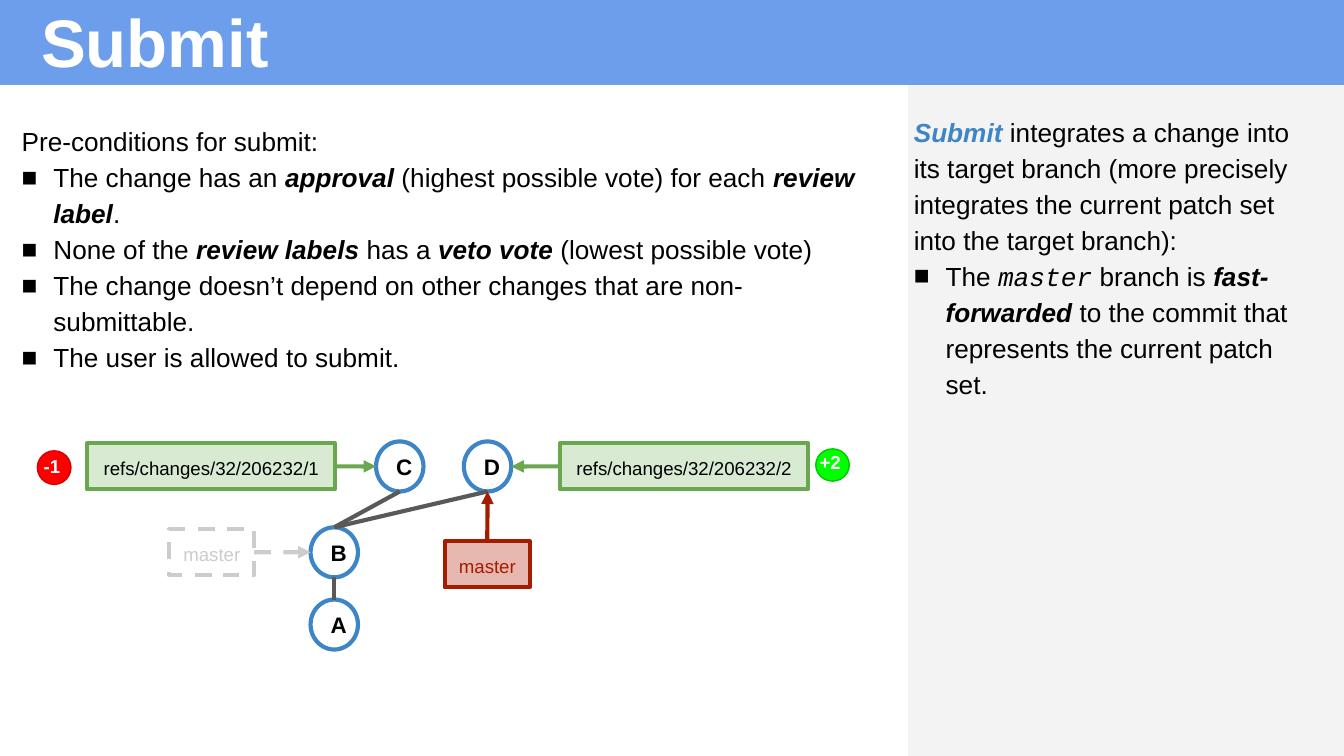
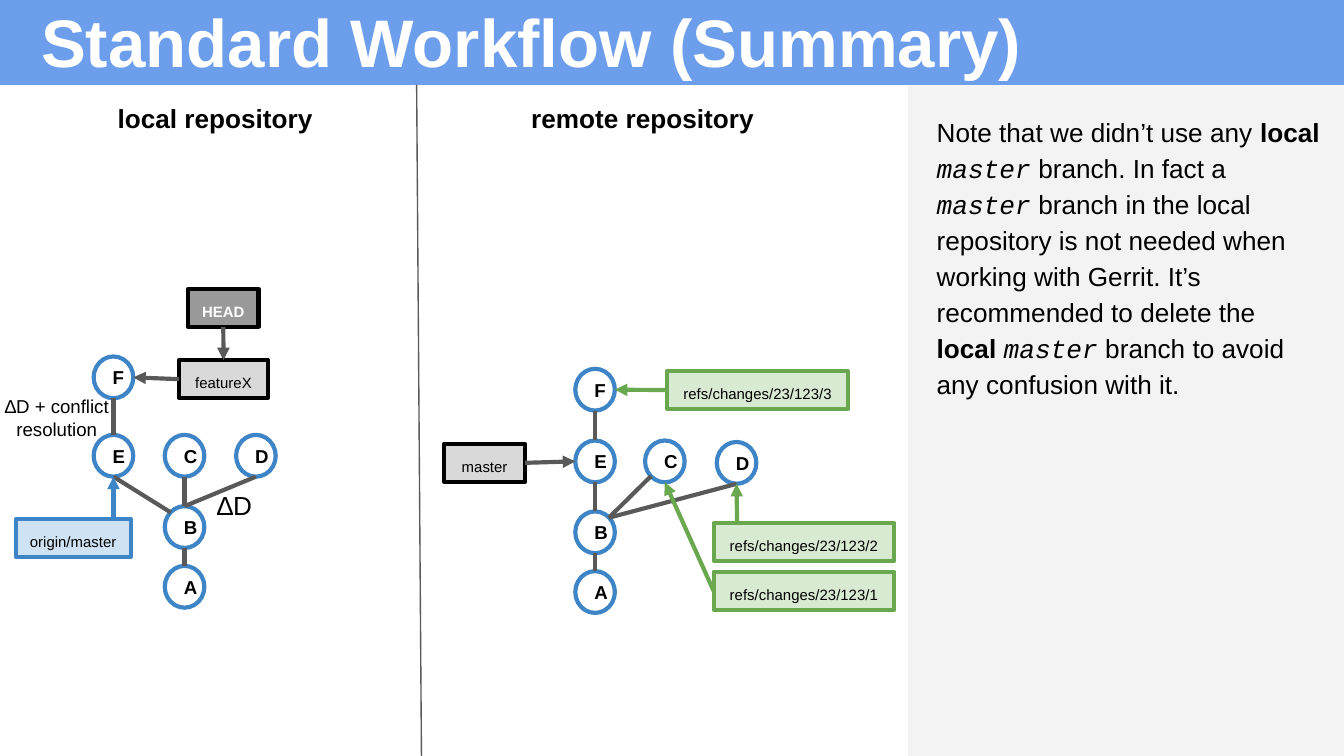
from dataclasses import dataclass
from typing import NamedTuple, Optional, Union

from lxml import etree
from pptx import Presentation
from pptx.dml.color import RGBColor
from pptx.enum import dml, shapes, text
from pptx.oxml import ns
from pptx.util import Pt


@dataclass(frozen=True)
class Theme:
    """Colours, fonts and type sizes used on every slide."""
    black: str = "000000"
    white: str = "FFFFFF"
    banner: str = "6D9EEB"
    panel: str = "F3F3F3"
    blue: str = "3D85C6"
    pale_blue: str = "CFE2F3"
    edge: str = "595959"
    green: str = "6AA84F"
    pale_green: str = "D9EAD3"
    red: str = "A61C00"
    pale_red: str = "E6B8AF"
    faded: str = "CCCCCC"
    gray: str = "D9D9D9"
    dark_gray: str = "999999"
    sans: str = "Arial"
    mono: str = "Courier New"
    title: float = 36
    body: float = 14
    big_node: float = 12
    small: float = 10
    tiny: float = 8
    inset: float = 7.2
    spacing: float = 1.15
    hanging: float = 17
    stroke: float = 2.25
    hairline: float = 0.75


T = Theme()


class Run(NamedTuple):
    """A stretch of text with its own format."""
    text: str
    bold: bool = False
    italic: bool = False
    font: str = T.sans
    color: Optional[str] = None


class Para(NamedTuple):
    """A paragraph of strings and runs."""
    runs: tuple[Union[str, Run], ...]
    bullet: bool = False


class Box(NamedTuple):
    """Left, top, width and height in points."""
    left: float
    top: float
    width: float
    height: float


class Style(NamedTuple):
    """Fill, outline and text format of a ref label."""
    fill: Optional[str]
    line: str
    color: str = T.black
    bold: bool = False
    dashed: bool = False


class Node(NamedTuple):
    """A commit circle."""
    name: str
    left: float
    top: float


class Label(NamedTuple):
    """A ref label."""
    key: str
    text: str
    box: Box
    style: Style


class Link(NamedTuple):
    """A line from one side of a shape to a side of another."""
    start: str
    start_side: str
    end: str
    end_side: str
    color: str = T.edge
    arrow: bool = False
    dashed: bool = False


CHANGE = Style(T.pale_green, T.green)
BRANCH = Style(T.gray, T.black)
ORIGIN = Style(T.pale_blue, T.blue)
HEAD = Style(T.dark_gray, T.black, T.white, bold=True)
MOVED = Style(T.pale_red, T.red, T.red)
STALE = Style(None, T.faded, T.faded, dashed=True)

SIDES = {"n": (0.5, 0), "w": (0, 0.5), "s": (0.5, 1), "e": (1, 0.5),
         "nw": (0.15, 0.15), "ne": (0.85, 0.15), "sw": (0.15, 0.85),
         "top-left": (0.13, 0), "top-right": (0.85, 0)}
GLUE = {"n": 0, "w": 1, "s": 2, "e": 3}


def rgb(color: str) -> RGBColor:
    """Turn a hex string into a colour."""
    return RGBColor.from_string(color)


def bold_italic(words: str) -> Run:
    """Return an emphasised run."""
    return Run(words, bold=True, italic=True)


def write(sp, content, *, size, color=T.black, bold=False, align=text.PP_ALIGN.LEFT,
          anchor=text.MSO_ANCHOR.TOP, spacing=None) -> None:
    """Write a string or a list of paragraphs into a shape."""
    tf = sp.text_frame
    tf.word_wrap = True
    tf.vertical_anchor = anchor
    tf.margin_left = tf.margin_right = tf.margin_top = tf.margin_bottom = Pt(T.inset)
    paras = [Para((Run(content, bold),))] if isinstance(content, str) else content
    for i, para in enumerate(paras):
        p = tf.add_paragraph() if i else tf.paragraphs[0]
        p.alignment = align
        if spacing:
            p.line_spacing = spacing
        if para.bullet:
            pPr = p._p.get_or_add_pPr()
            pPr.set("marL", str(Pt(T.hanging)))
            pPr.set("indent", str(-Pt(T.hanging)))
            etree.SubElement(pPr, ns.qn("a:buFont")).set("typeface", T.sans)
            etree.SubElement(pPr, ns.qn("a:buChar")).set("char", "■")
        for part in para.runs:
            run = Run(part) if isinstance(part, str) else part
            r = p.add_run()
            r.text = run.text
            r.font.name, r.font.size = run.font, Pt(size)
            r.font.bold, r.font.italic = run.bold, run.italic
            r.font.color.rgb = rgb(run.color or color)


def add_text(slide, box: Box, content, **fmt) -> None:
    """Add a text box."""
    write(slide.shapes.add_textbox(*map(Pt, box)), content, **fmt)


def add_shape(slide, kind, box: Box, fill=None, line=None, width=T.stroke, dashed=False):
    """Add a flat preset shape."""
    sp = slide.shapes.add_shape(kind, *map(Pt, box))
    sp.shadow.inherit = False
    if fill:
        sp.fill.solid()
        sp.fill.fore_color.rgb = rgb(fill)
    else:
        sp.fill.background()
    if line:
        sp.line.color.rgb = rgb(line)
        sp.line.width = Pt(width)
        if dashed:
            sp.line.dash_style = dml.MSO_LINE.DASH
    else:
        sp.line.fill.background()
    return sp


def add_line(slide, start, end, color=T.edge, width=T.stroke, arrow=False, dashed=False):
    """Add a straight line between two points."""
    line = slide.shapes.add_connector(shapes.MSO_CONNECTOR.STRAIGHT, *start, *end)
    line.line.color.rgb = rgb(color)
    line.line.width = Pt(width)
    if dashed:
        line.line.dash_style = dml.MSO_LINE.DASH
    if arrow:
        etree.SubElement(line.line._get_or_add_ln(), ns.qn("a:tailEnd")).set("type", "triangle")
    etree.SubElement(line._element.spPr, ns.qn("a:effectLst"))
    return line


def side_point(sp, side: str) -> tuple[int, int]:
    """Find the point on a shape's outline."""
    fx, fy = SIDES[side]
    return int(sp.left + fx * sp.width), int(sp.top + fy * sp.height)


def draw_graph(slide, nodes, node_size, node_font, labels, label_font, links) -> None:
    """Draw commits, ref labels and the links between them."""
    drawn = {}
    for node in nodes:
        sp = add_shape(slide, shapes.MSO_SHAPE.OVAL,
                       Box(node.left, node.top, *node_size), line=T.blue)
        write(sp, node.name, size=node_font, bold=True,
              align=text.PP_ALIGN.CENTER, anchor=text.MSO_ANCHOR.MIDDLE)
        drawn[node.name] = sp
    for label in labels:
        style = label.style
        sp = add_shape(slide, shapes.MSO_SHAPE.RECTANGLE, label.box,
                       style.fill, style.line, dashed=style.dashed)
        write(sp, label.text, size=label_font, color=style.color, bold=style.bold,
              align=text.PP_ALIGN.CENTER)
        drawn[label.key] = sp
    rects = {label.key for label in labels}
    for link in links:
        a, b = drawn[link.start], drawn[link.end]
        line = add_line(slide, side_point(a, link.start_side), side_point(b, link.end_side),
                        link.color, arrow=link.arrow, dashed=link.dashed)
        if link.start in rects and link.start_side in GLUE:
            line.begin_connect(a, GLUE[link.start_side])
        if link.end in rects and link.end_side in GLUE:
            line.end_connect(b, GLUE[link.end_side])


def add_frame(prs, title: str, title_width: float, note: list[Para], note_left: float,
              note_height: float):
    """Add a slide with its banner, title and side note."""
    slide = prs.slides.add_slide(prs.slide_layouts[6])
    rect = shapes.MSO_SHAPE.RECTANGLE
    add_shape(slide, rect, Box(0, 0, 720.5, 45.5), T.banner)
    add_text(slide, Box(15, -7, title_width, 60), title, size=T.title, color=T.white, bold=True)
    add_shape(slide, rect, Box(486.5, 45.75, 233.5, 359.25), T.panel)
    add_text(slide, Box(note_left, 52.5, 715.5 - note_left, note_height), note,
             size=T.body, spacing=T.spacing)
    return slide


def build_submit(prs) -> None:
    """Build the slide on submitting a change."""
    slide = add_frame(prs, "Submit", 595, [
        Para((Run("Submit", True, True, color=T.blue), " integrates a change into its target "
              "branch (more precisely integrates the current patch set into the target branch):")),
        Para(("The ", Run("master", italic=True, font=T.mono), " branch is ",
              bold_italic("fast-forwarded"),
              " to the commit that represents the current patch set."), True),
    ], 482.5, 307.5)
    add_text(slide, Box(4.5, 57.5, 470, 174), [
        Para(("Pre-conditions for submit:",)),
        Para(("The change has an ", bold_italic("approval"),
              " (highest possible vote) for each ", bold_italic("review label"), "."), True),
        Para(("None of the ", bold_italic("review labels"), " has a ",
              bold_italic("veto vote "), "(lowest possible vote)"), True),
        Para(("The change doesn’t depend on other changes that are non-submittable.",), True),
        Para(("The user is allowed to submit.",), True),
    ], size=T.body, spacing=T.spacing)
    nodes = [Node("A", 166.4, 321.2), Node("B", 166.4, 282.5),
             Node("C", 201.5, 236.5), Node("D", 248.5, 236.5)]
    labels = [Label("first", "refs/changes/32/206232/1", Box(46.7, 237.5, 132.8, 24.7), CHANGE),
              Label("second", "refs/changes/32/206232/2", Box(300, 237.5, 132.8, 24.7), CHANGE),
              Label("old", "master", Box(90.7, 283.5, 45.5, 24.7), STALE),
              Label("new", "master", Box(238.3, 290, 45.5, 24.7), MOVED)]
    links = [Link("A", "n", "B", "s"), Link("B", "n", "C", "s"), Link("B", "n", "D", "s"),
             Link("first", "e", "C", "w", T.green, True),
             Link("second", "w", "D", "e", T.green, True),
             Link("old", "e", "B", "w", T.faded, True, True),
             Link("new", "n", "D", "s", T.red, True)]
    draw_graph(slide, nodes, (25.4, 26.8), T.big_node, labels, T.small, links)
    votes = [("+2", Box(437, 240.5, 18, 17.3), "00FF00", "00C700", Box(432, 235.5, 36, 24)),
             ("-1", Box(20, 241.5, 18, 18), "FF0000", "D50000", Box(16.3, 237.5, 29, 20))]
    for vote, disc, fill, line, box in votes:
        add_shape(slide, shapes.MSO_SHAPE.OVAL, disc, fill, line, T.hairline)
        add_text(slide, box, vote, size=T.small, color=T.white, bold=True)


def build_summary(prs) -> None:
    """Build the slide that sums up the workflow."""
    master = Run("master", italic=True, font=T.mono)
    local = Run("local ", bold=True)
    slide = add_frame(prs, "Standard Workflow (Summary)", 644, [
        Para(("Note that we didn’t use any ", local, master, " branch. In fact a ", master,
              " branch in the local repository is not needed when working with Gerrit. "
              "It’s recommended to delete the ", local, master,
              " branch to avoid any confusion with it.")),
    ], 494.7, 345)
    add_line(slide, (Pt(223.2), Pt(45.5)), (Pt(225.8), Pt(405)), width=T.hairline)
    for heading, left in (("local repository", 41), ("remote repository", 270)):
        add_text(slide, Box(left, 47.5, 148.5, 36), heading, size=T.body, bold=True,
                 align=text.PP_ALIGN.CENTER)
    add_text(slide, Box(-17.5, 204.5, 95.8, 36), "∆D + conflict resolution", size=T.small,
             align=text.PP_ALIGN.CENTER)
    add_text(slide, Box(109.3, 255, 39, 27), "∆D", size=T.body)

    node_size = (21.2, 22.4)
    nodes = [Node("A", 88.3, 303.2), Node("B", 88.3, 271.2), Node("C", 88.3, 233),
             Node("D", 126.5, 233), Node("E", 50.2, 233), Node("F", 50.2, 191)]
    labels = [Label("origin", "origin/master", Box(8.5, 278, 61.5, 20.3), ORIGIN),
              Label("feature", "featureX", Box(96, 193, 47.5, 20.3), BRANCH),
              Label("head", "HEAD", Box(100.8, 154.8, 37.7, 20.3), HEAD)]
    links = [Link("A", "n", "B", "s"), Link("C", "s", "B", "n"), Link("D", "s", "B", "n"),
             Link("E", "s", "B", "nw"), Link("F", "s", "E", "n"),
             Link("origin", "top-right", "E", "s", T.blue, True),
             Link("feature", "w", "F", "e", arrow=True),
             Link("head", "s", "feature", "n", arrow=True)]
    draw_graph(slide, nodes, node_size, T.small, labels, T.tiny, links)

    nodes = [Node("A", 308.2, 306), Node("B", 308.2, 274), Node("C", 345.6, 236),
             Node("D", 384, 236.8), Node("E", 308.2, 236), Node("F", 308.2, 197.6)]
    labels = [Label("first", "refs/changes/23/123/1", Box(382.3, 306.4, 96.8, 20.3), CHANGE),
              Label("second", "refs/changes/23/123/2", Box(382.3, 280.2, 96.8, 20.3), CHANGE),
              Label("third", "refs/changes/23/123/3", Box(357.5, 198.8, 96.8, 20.3), CHANGE),
              Label("master", "master", Box(238, 237.8, 43.3, 20.3), BRANCH)]
    links = [Link("A", "n", "B", "s"), Link("E", "s", "B", "n"), Link("F", "s", "E", "n"),
             Link("C", "sw", "B", "ne"), Link("D", "s", "B", "ne"),
             Link("first", "w", "C", "s", T.green, True),
             Link("second", "top-left", "D", "s", T.green, True),
             Link("third", "w", "F", "e", T.green, True),
             Link("master", "e", "E", "w", arrow=True)]
    draw_graph(slide, nodes, node_size, T.small, labels, T.tiny, links)


def main() -> None:
    """Build and save the deck."""
    prs = Presentation()
    prs.slide_width, prs.slide_height = Pt(720), Pt(405)
    build_submit(prs)
    build_summary(prs)
    prs.save("out.pptx")


if __name__ == "__main__":
    main()
